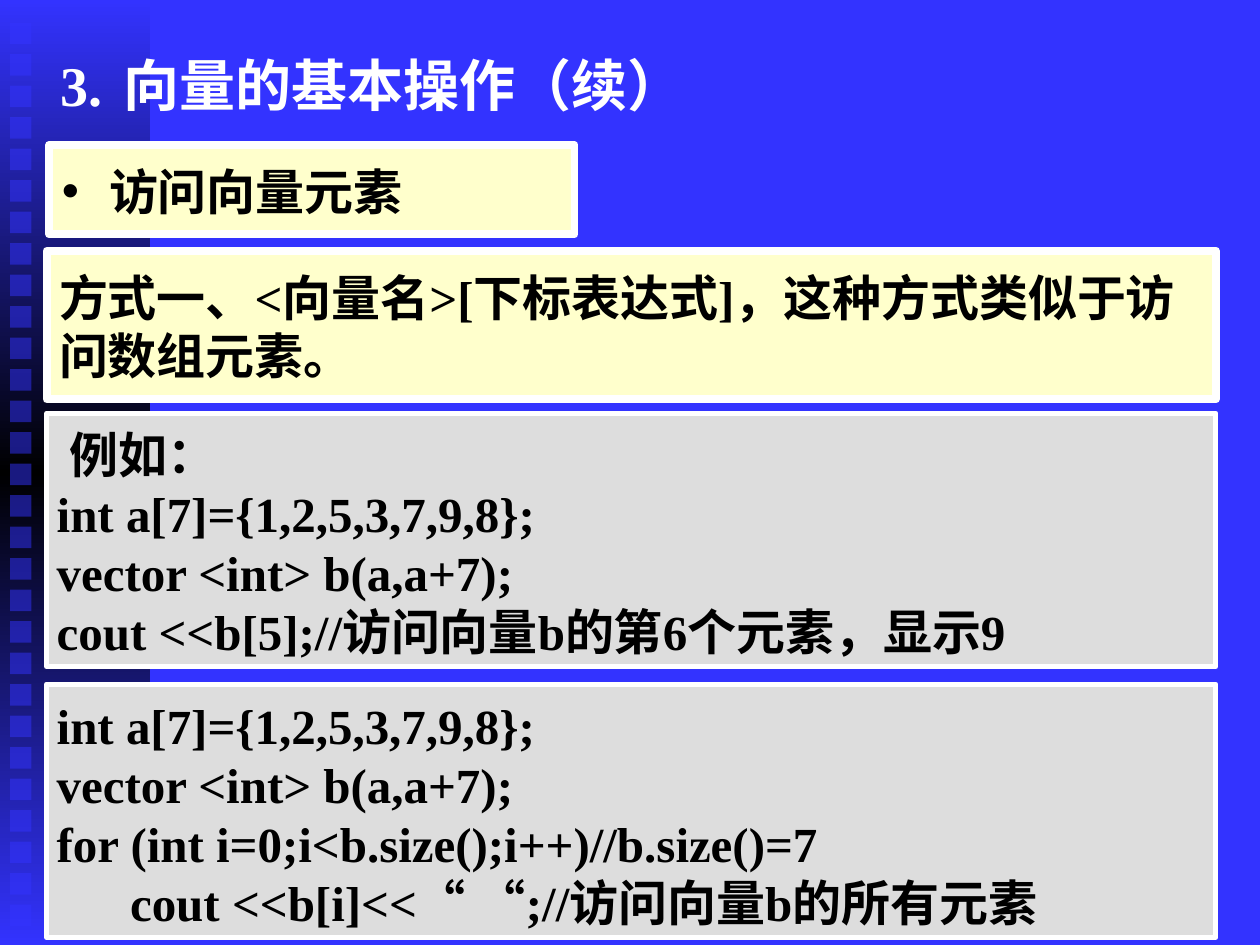
from copy import deepcopy
from lxml import etree
from pptx import Presentation
from pptx import util as u
from pptx.dml.color import RGBColor
from pptx.enum import shapes, text
from pptx.oxml.ns import qn

WIDE, HIGH = 10, 7.5
FONT = "Times New Roman"
HUES = {"back": "3333FF", "dark": "000000", "pale": "FFFFCC",
        "grey": "DDDDDD", "light": "FFFFFF", "mark": "FF3300"}


def hue(name):
    return RGBColor.from_string(HUES[name])


def place(item, box):
    item.left, item.top, item.width, item.height = map(u.Inches, box)


def paint(item, fill, width):
    item.fill.solid()
    item.fill.fore_color.rgb = hue(fill)
    item.line.color.rgb = hue("light")
    item.line.width = u.Pt(width)


def node(root, tag, **attrs):
    return etree.SubElement(root, qn(tag), attrs)


def write(item, lines, size, color, pads, anchor=text.MSO_ANCHOR.TOP):
    frame = item.text_frame
    frame.text = "\n".join(lines)
    frame.word_wrap = True
    frame.auto_size = text.MSO_AUTO_SIZE.NONE
    frame.vertical_anchor = anchor
    frame.margin_left = frame.margin_right = u.Inches(pads[0])
    frame.margin_top, frame.margin_bottom = u.Inches(pads[1]), u.Inches(0.05)
    for par in frame.paragraphs:
        par.alignment = text.PP_ALIGN.LEFT
        par.space_before = u.Pt(0)
        par.font.name, par.font.size = FONT, u.Pt(size)
        par.font.bold = True
        par.font.color.rgb = hue(color)
    return frame.paragraphs[0]


def add_rect(parts, box):
    rect = parts.add_shape(shapes.MSO_SHAPE.RECTANGLE, *map(u.Inches, box))
    rect.shadow.inherit = False
    return rect


def add_bar(slide, box):
    """Gradient side bar with a column of evenly spaced squares."""
    left, top, width, height = box
    group = slide.shapes.add_group_shape()
    bar = add_rect(group.shapes, box)
    bar.line.fill.background()
    bar.fill.gradient()
    bar.fill.gradient_angle = 90
    stops = bar._element.spPr.find(".//" + qn("a:gsLst"))
    stops.insert(1, deepcopy(stops[0]))
    for stop, name, pos in zip(bar.fill.gradient_stops,
                               ("back", "dark", "back"), (0, 0.5, 1)):
        stop.color.rgb, stop.position = hue(name), pos

    step, side = height / 30, 0.17
    for row in range(29):
        tile = add_rect(group.shapes, (left + 0.08, top + 0.18 + row * step, side, side))
        tile.line.fill.background()
        tile.fill.solid()
        tile.fill.fore_color.rgb = hue("back")
        node(tile._element.spPr.find(".//" + qn("a:srgbClr")), "a:alpha", val="50000")
    # The bar lies behind the placeholders
    slide.shapes._spTree.insert(2, group._element)


def add_title(slide, box):
    title = slide.shapes.title
    place(title, box)
    title.text_frame.text = "3."
    props = title.text_frame.paragraphs[0]._p.get_or_add_pPr()
    tabs = node(props, "a:tabLst")
    node(tabs, "a:tab", pos=str(u.Inches(0.68)), algn="l")
    write(title, ["3.\t向量的基本操作（续）"], 32, "light", (0.21, 0.05),
          text.MSO_ANCHOR.MIDDLE)


def add_topic(slide, box):
    body = slide.placeholders[1]
    place(body, box)
    paint(body, "pale", 4.5)
    props = body.text_frame.paragraphs[0]._p.get_or_add_pPr()
    props.set("marL", str(u.Inches(0.41)))
    props.set("indent", str(-u.Inches(0.41)))
    node(node(props, "a:buClr"), "a:srgbClr", val=HUES["mark"])
    node(props, "a:buChar", char="◻")
    write(body, ["访问向量元素"], 28, "dark", (0.1, 0.13))


def add_panel(slide, box, lines, fill, width, pads):
    panel = add_rect(slide.shapes, box)
    paint(panel, fill, width)
    return write(panel, lines, 28, "dark", pads)


def main():
    deck = Presentation()
    deck.slide_width, deck.slide_height = u.Inches(WIDE), u.Inches(HIGH)
    slide = deck.slides.add_slide(deck.slide_layouts[1])
    slide.background.fill.solid()
    slide.background.fill.fore_color.rgb = hue("back")

    add_bar(slide, (0, 0, 1.19, HIGH))
    add_title(slide, (0.27, 0.29, 8.5, 0.75))
    add_topic(slide, (0.39, 1.15, 4.17, 0.71))

    # Rule, then two code samples in one column
    left, width = 0.37, 9.28
    add_panel(slide, (left, 1.99, width, 1.18),
              ["方式一、<向量名>[下标表达式]，这种方式类似于访问数组元素。"],
              "pale", 4.5, (0.1, 0.13))
    setup = ["int a[7]={1,2,5,3,7,9,8};", "vector <int> b(a,a+7);"]
    code = "grey", 3, (0.08, 0.09)
    first = add_panel(slide, (left, 3.28, width, 2.01),
                      ["例如：", *setup, "cout <<b[5];//访问向量b的第6个元素，显示9"], *code)
    first._p.get_or_add_pPr().set("indent", str(u.Inches(0.1)))
    add_panel(slide, (left, 5.43, width, 2.01),
              [*setup, "for (int i=0;i<b.size();i++)//b.size()=7",
               "      cout <<b[i]<<“ “;//访问向量b的所有元素"], *code)
    deck.save("out.pptx")


if __name__ == "__main__":
    main()
